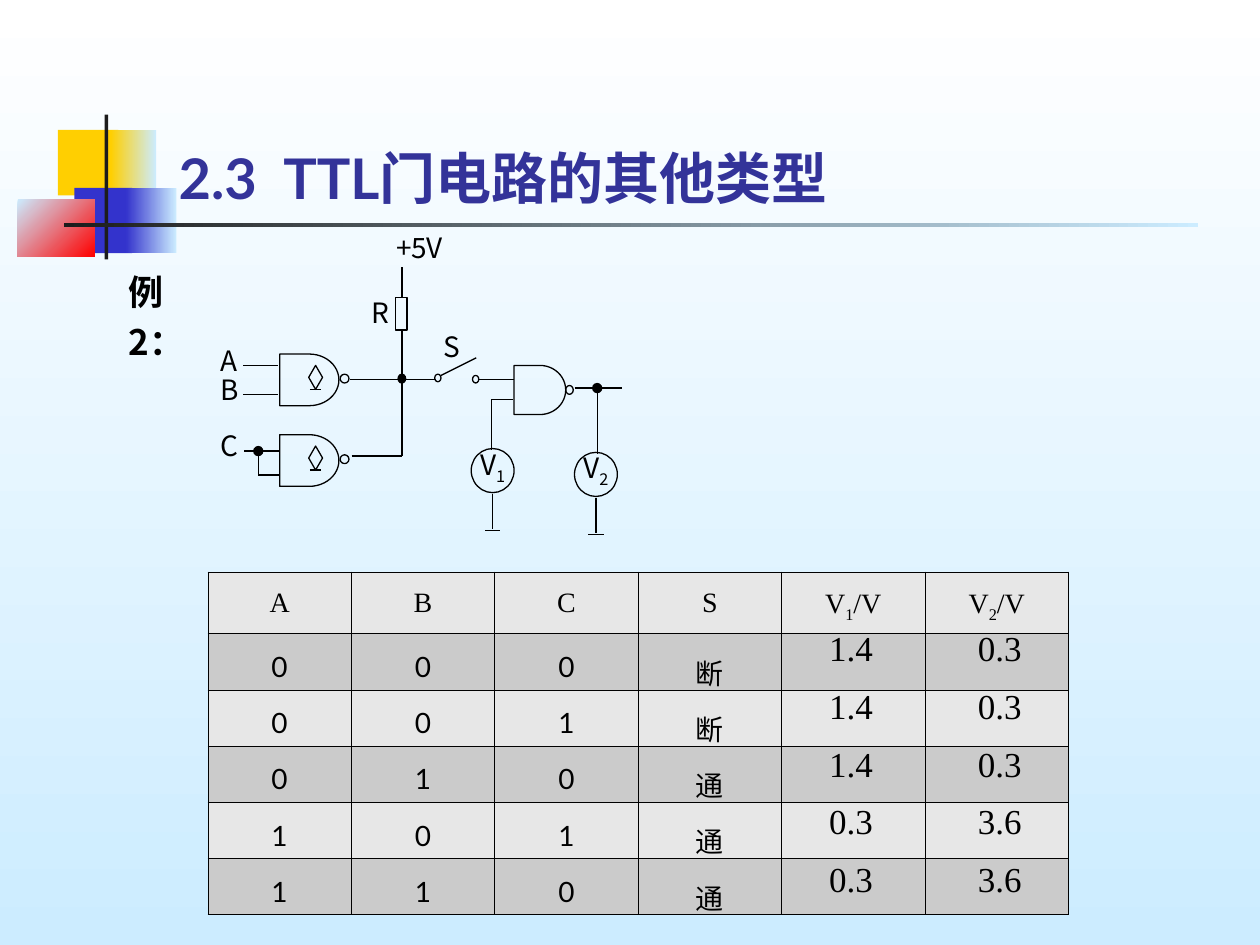
import pptx
import pptx.util
import pptx.dml.color
import pptx.enum.shapes
import pptx.enum.text
import pptx.oxml
import pptx.oxml.ns

SHAPE = pptx.enum.shapes.MSO_SHAPE
ALIGN = pptx.enum.text.PP_ALIGN
ANCHOR = pptx.enum.text.MSO_ANCHOR
WIDTH, HEIGHT = 10, 7.5

THEME = {
    "ink": "000000", "title": "333399", "sky": "CCECFF", "white": "FFFFFF",
    "yellow": "FFCF01", "blue": "3333CC", "red": "FF0000", "bar": "1C1C1C",
    "light": "E7E7E7", "dark": "CBCBCB",
    "heading_size": 32, "large": 20, "small": 16, "stroke": 0.75, "border": 0.45,
    "lato": "Lato", "cjk": "Noto Sans CJK SC", "serif": "Times New Roman",
}

TITLE = "2.3\tTTL门电路的其他类型"
EXAMPLE = "例2："
ORNAMENTS = [
    ((0.46, 1.03, 0.48, 0.52), ["yellow"], 0),
    ((0.88, 1.03, 0.36, 0.52), ["yellow", "sky"], 0),
    ((0.59, 1.49, 0.46, 0.52), ["blue"], 0),
    ((1, 1.49, 0.4, 0.52), ["blue", "sky"], 0),
    ((0.14, 1.58, 0.61, 0.46), ["sky", "red"], 315),
    ((0.83, 0.91, 0.03, 1.15), ["bar"], 0),
    ((0.51, 1.77, 9, 0.03), ["bar", "sky"], 0),
]
LABELS = [
    ("+5V", 3.33, 1.78), ("R", 3.02, 2.3), ("A", 1.82, 2.68),
    ("B", 1.82, 2.91), ("C", 1.82, 3.35), ("S", 3.59, 2.57),
]
WIRES = [
    (3.19, 2.12, 3.19, 2.36), (3.19, 2.63, 3.19, 3.62),
    (2.78, 3.01, 3.46, 3.01), (3.79, 3.01, 4.08, 3.01),
    (2.79, 3.62, 3.19, 3.62), (3.5, 2.98, 3.78, 2.84),
    (1.93, 2.9, 2.21, 2.9), (1.93, 3.13, 2.21, 3.13),
    (1.94, 3.58, 2.22, 3.58), (2.05, 3.77, 2.22, 3.77),
    (3.9, 3.17, 4.07, 3.17), (3.9, 3.17, 3.9, 3.57),
    (4.56, 3.08, 4.94, 3.08),
]
JUNCTIONS = [(2.05, 3.58, 2.05, 3.78), (4.74, 3.08, 4.74, 3.6)]
OUTLINES = [
    (SHAPE.RECTANGLE, (3.14, 2.36, 0.09, 0.26)),
    (SHAPE.OVAL, (3.45, 2.97, 0.05, 0.06)),
    (SHAPE.OVAL, (3.75, 2.98, 0.05, 0.06)),
    (SHAPE.FLOWCHART_DELAY, (4.08, 2.9, 0.41, 0.39)),
    (SHAPE.OVAL, (4.49, 3.06, 0.06, 0.07)),
]
NODE = (3.16, 2.97, 0.06, 0.07)
OPEN_GATE_TOPS = [2.81, 3.45]
METERS = [("1", 3.74, 3.56), ("2", 4.56, 3.59)]

HEADER = [["A"], ["B"], ["C"], ["S"], ["V", "1", "/V"], ["V", "2", "/V"]]
STATES = ["000断", "001断", "010通", "101通", "110通"]
READINGS = [("1.4", "0.3"), ("1.4", "0.3"), ("1.4", "0.3"), ("0.3", "3.6"), ("0.3", "3.6")]
TABLE = (1.65, 4.54, 6.83, 2.72)
HEADER_HEIGHT = 0.49
READING_LEFTS = [6.48, 7.66]
READING_TOP, READING_STEP = 4.92, 0.46


def inches(values):
    return [pptx.util.Inches(value) for value in values]


def color(name):
    return pptx.dml.color.RGBColor.from_string(THEME[name])


def paint(fill, names, angle=0):
    if len(names) == 1:
        fill.solid()
        fill.fore_color.rgb = color(names[0])
        return
    fill.gradient()
    fill.gradient_angle = angle
    for stop, name in zip(fill.gradient_stops, names):
        stop.color.rgb = color(name)


def add_span(para, text, font, size, shade="ink", bold=False, baseline=0):
    span = para.add_run()
    span.text = text
    span.font.name = THEME[font]
    span.font.size = pptx.util.Pt(THEME[size])
    span.font.bold = bold
    span.font.color.rgb = color(shade)
    properties = span.font._element
    if baseline:
        properties.set("baseline", str(baseline * 1000))
    east = properties.makeelement(pptx.oxml.ns.qn("a:ea"), {"typeface": THEME["cjk"]})
    properties.find(pptx.oxml.ns.qn("a:latin")).addnext(east)


def add_spans(para, texts, font, size):
    for index, text in enumerate(texts):
        add_span(para, text, font, size, baseline=-25 if index == 1 else 0)


def add_box(slide, place, align=ALIGN.CENTER, wrap=False):
    box = slide.shapes.add_textbox(*inches(place))
    box.text_frame.word_wrap = wrap
    para = box.text_frame.paragraphs[0]
    para.alignment = align
    return box, para


def add_shape(slide, kind, place, names=None, angle=0, outlined=True):
    shape = slide.shapes.add_shape(kind, *inches(place))
    shape.shadow.inherit = False
    if names:
        paint(shape.fill, names, angle)
    else:
        shape.fill.background()
    if outlined:
        shape.line.color.rgb = color("ink")
        shape.line.width = pptx.util.Pt(THEME["stroke"])
    else:
        shape.line.fill.background()


def add_wire(slide, ends, dotted=False):
    wire = slide.shapes.add_connector(pptx.enum.shapes.MSO_CONNECTOR.STRAIGHT, *inches(ends))
    wire.line.color.rgb = color("ink")
    wire.line.width = pptx.util.Pt(THEME["stroke"])
    properties = wire._element.spPr
    if dotted:
        line = properties.find(pptx.oxml.ns.qn("a:ln"))
        line.append(line.makeelement(pptx.oxml.ns.qn("a:headEnd"), {"type": "oval"}))
    properties.append(properties.makeelement(pptx.oxml.ns.qn("a:effectLst"), {}))


def add_open_gate(slide, top):
    add_shape(slide, SHAPE.FLOWCHART_DELAY, (2.22, top, 0.47, 0.41))
    add_shape(slide, SHAPE.FLOWCHART_DECISION, (2.45, top + 0.09, 0.11, 0.19))
    add_wire(slide, (2.46, top + 0.28, 2.55, top + 0.28))
    add_shape(slide, SHAPE.OVAL, (2.7, top + 0.16, 0.07, 0.07))


def add_meter(slide, number, left, top):
    middle = left + 0.17
    add_shape(slide, SHAPE.OVAL, (left, top, 0.34, 0.35))
    para = add_box(slide, (middle - 0.2, top - 0.06, 0.4, 0.41))[1]
    add_spans(para, ["V", number], "cjk", "small")
    add_wire(slide, (middle, top + 0.36, middle, top + 0.64))
    add_wire(slide, (middle - 0.06, top + 0.65, middle + 0.06, top + 0.65))


def add_circuit(slide):
    for ends in WIRES:
        add_wire(slide, ends)
    for ends in JUNCTIONS:
        add_wire(slide, ends, dotted=True)
    for kind, place in OUTLINES:
        add_shape(slide, kind, place)
    add_shape(slide, SHAPE.OVAL, NODE, ["ink"])
    for top in OPEN_GATE_TOPS:
        add_open_gate(slide, top)
    for meter in METERS:
        add_meter(slide, *meter)
    for text, middle, top in LABELS:
        para = add_box(slide, (middle - 0.3, top, 0.6, 0.37))[1]
        add_span(para, text, "cjk", "small")


def add_borders(cell):
    properties = cell._tc.get_or_add_tcPr()
    for index, side in enumerate(["lnL", "lnR", "lnT", "lnB"]):
        border = pptx.oxml.parse_xml(
            f'<a:{side} {pptx.oxml.ns.nsdecls("a")} w="{pptx.util.Pt(THEME["border"])}">'
            f'<a:solidFill><a:srgbClr val="{THEME["ink"]}"/></a:solidFill></a:{side}>')
        properties.insert(index, border)


def add_truth_table(slide):
    rows = [HEADER] + [[[state] for state in line] + [[], []] for line in STATES]
    table = slide.shapes.add_table(len(rows), len(HEADER), *inches(TABLE)).table
    row_height = (TABLE[3] - HEADER_HEIGHT) / len(STATES)
    for row, texts in enumerate(rows):
        table.rows[row].height = pptx.util.Inches(row_height if row else HEADER_HEIGHT)
        for column, parts in enumerate(texts):
            cell = table.cell(row, column)
            paint(cell.fill, ["dark" if row % 2 else "light"])
            add_borders(cell)
            cell.margin_bottom = 0
            para = cell.text_frame.paragraphs[0]
            para.alignment = ALIGN.CENTER
            para.line_spacing = 1.3
            add_spans(para, parts, "lato" if row else "serif", "small")
    for row, pair in enumerate(READINGS):
        for left, text in zip(READING_LEFTS, pair):
            para = add_box(slide, (left, READING_TOP + row * READING_STEP, 0.55, 0.44))[1]
            add_span(para, text, "serif", "large")


def main():
    deck = pptx.Presentation()
    deck.slide_width, deck.slide_height = inches((WIDTH, HEIGHT))
    slide = deck.slides.add_slide(deck.slide_layouts[6])
    paint(slide.background.fill, ["white", "sky"], 270)
    for place, names, angle in ORNAMENTS:
        add_shape(slide, SHAPE.RECTANGLE, place, names, angle, outlined=False)
    box, para = add_box(slide, (1.32, 0.92, 7.03, 0.8), ALIGN.LEFT, wrap=True)
    box.text_frame.vertical_anchor = ANCHOR.BOTTOM
    stops = pptx.oxml.parse_xml(
        f'<a:tabLst {pptx.oxml.ns.nsdecls("a")}>'
        f'<a:tab pos="{pptx.util.Inches(0.83)}" algn="l"/></a:tabLst>')
    para._p.get_or_add_pPr().append(stops)
    add_span(para, TITLE, "lato", "heading_size", "title", bold=True)
    para = add_box(slide, (0.92, 2.03, 0.75, 0.9), ALIGN.LEFT, wrap=True)[1]
    para.line_spacing = 1.2
    add_span(para, EXAMPLE, "cjk", "large", bold=True)
    add_circuit(slide)
    add_truth_table(slide)
    deck.save("out.pptx")


if __name__ == "__main__":
    main()
